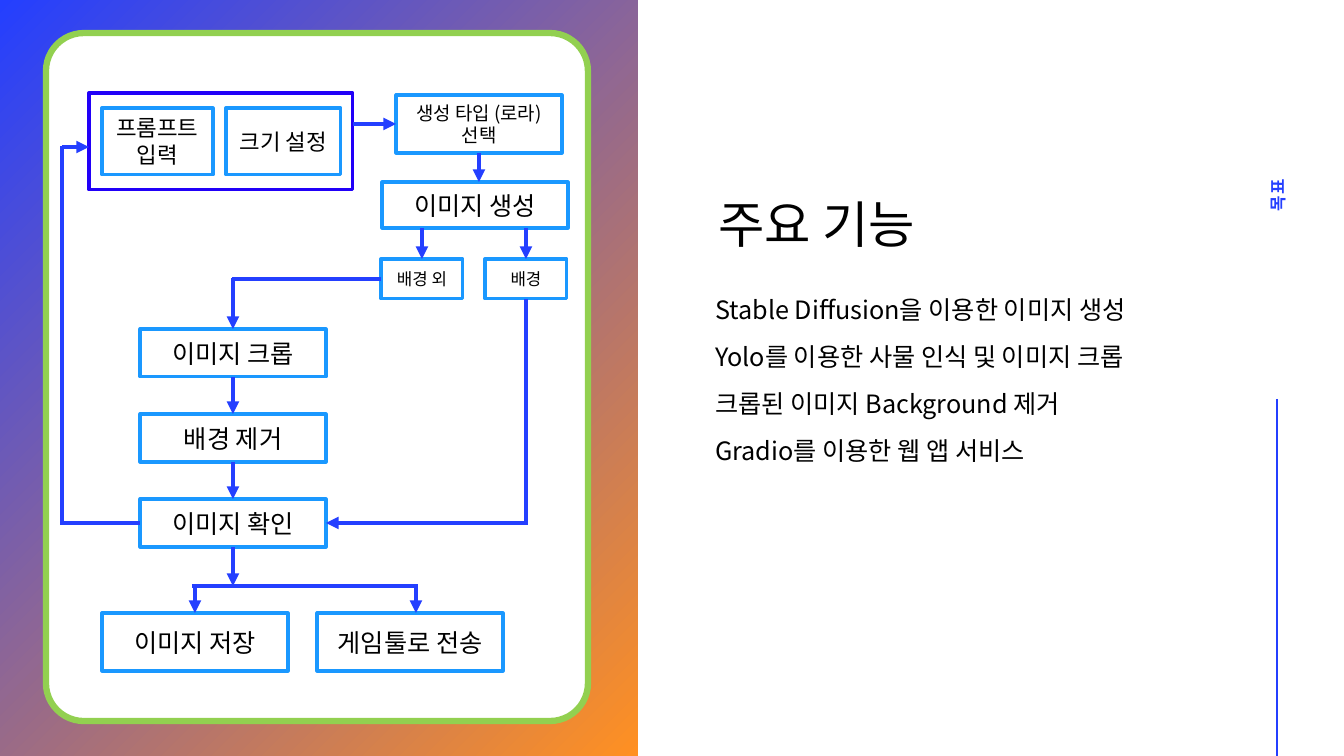
from dataclasses import dataclass

from lxml.etree import SubElement
from pptx import Presentation
from pptx.dml.color import RGBColor
from pptx.enum.shapes import MSO_CONNECTOR, MSO_SHAPE
from pptx.enum.text import MSO_ANCHOR, MSO_AUTO_SIZE, PP_ALIGN
from pptx.oxml.ns import qn
from pptx.util import Pt

EMU_PER_PX = 914400 / 100.8
SLIDE_W, SLIDE_H = 1344, 756
TOP, LEFT, BOTTOM, RIGHT = range(4)


@dataclass(frozen=True)
class Theme:
    font: str = "Noto Sans CJK KR"
    black: str = "000000"
    white: str = "FFFFFF"
    blue: str = "243FFF"
    orange: str = "FF9022"
    green: str = "92D050"
    box_line: str = "1A98FF"
    group_line: str = "2100F8"
    title: float = 36
    body: float = 18
    medium: float = 16
    note: float = 13.5
    small: float = 12


THEME = Theme()


def px(*lengths):
    """Turn pixel lengths into EMU."""
    return [round(n * EMU_PER_PX) for n in lengths]


def rgb(color):
    return RGBColor.from_string(color)


def write(sp, lines, size, color=THEME.black, align=PP_ALIGN.CENTER,
          anchor=MSO_ANCHOR.MIDDLE, bold=False, line_spacing=None, gap=0):
    """Fill a shape with one paragraph per line; gap separates them."""
    tf = sp.text_frame
    tf.word_wrap = True
    tf.auto_size = MSO_AUTO_SIZE.NONE
    tf.vertical_anchor = anchor
    for i, line in enumerate(lines):
        p = tf.paragraphs[0] if i == 0 else tf.add_paragraph()
        p.text = line
        p.alignment = align
        p.line_spacing = line_spacing
        p.space_before = Pt(gap if i else 0)
        p.font.name = THEME.font
        p.font.size = Pt(size)
        p.font.bold = bold
        p.font.color.rgb = rgb(color)
        props = p._p.pPr.find(qn("a:defRPr"))
        SubElement(props, qn("a:ea")).set("typeface", THEME.font)


def add_box(slide, at, line=THEME.box_line, width=2.25, kind=MSO_SHAPE.RECTANGLE):
    sp = slide.shapes.add_shape(kind, *px(*at))
    sp.shadow.inherit = False
    sp.fill.solid()
    sp.fill.fore_color.rgb = rgb(THEME.white)
    sp.line.color.rgb = rgb(line)
    sp.line.width = Pt(width)
    return sp


def add_step(slide, text, at, size=THEME.body):
    sp = add_box(slide, at)
    write(sp, [text], size)
    return sp


def add_line(slide, start, end, arrow=False, width=3):
    """Each end is a point (x, y) in px or a joint (shape, side)."""
    joined = [not isinstance(e[0], int) for e in (start, end)]
    points = [(0, 0) if j else e for j, e in zip(joined, (start, end))]
    cx = slide.shapes.add_connector(MSO_CONNECTOR.STRAIGHT, *px(*points[0], *points[1]))
    if joined[0]:
        cx.begin_connect(*start)
    if joined[1]:
        cx.end_connect(*end)
    cx.line.color.rgb = rgb(THEME.blue)
    cx.line.width = Pt(width)
    if arrow:
        SubElement(cx.line._get_or_add_ln(), qn("a:tailEnd")).set("type", "triangle")
    SubElement(cx._element.spPr, qn("a:effectLst"))


def add_backdrop(slide):
    sp = slide.shapes.add_shape(MSO_SHAPE.RECTANGLE, *px(0, 0, 638, SLIDE_H))
    sp.shadow.inherit = False
    sp.line.fill.background()
    sp.fill.gradient()
    sp.fill.gradient_angle = 315
    for stop, color in zip(sp.fill.gradient_stops, (THEME.blue, THEME.orange)):
        stop.color.rgb = rgb(color)
    panel = add_box(slide, (46, 33, 542, 688), THEME.green, 4.5,
                    MSO_SHAPE.ROUNDED_RECTANGLE)
    panel.adjustments[0] = 0.07


def add_flow(slide):
    add_box(slide, (89, 93, 264, 97), THEME.group_line)
    add_step(slide, "프롬프트 입력", (102, 108, 111, 67), THEME.medium)
    add_step(slide, "크기 설정", (226, 108, 115, 67), THEME.medium)
    style = add_step(slide, "생성 타입 (로라) 선택", (396, 95, 166, 58), THEME.note)
    create = add_step(slide, "이미지 생성", (382, 182, 186, 46))
    other, scenery = [add_step(slide, text, (381 + 104 * i, 259, 82, 40), THEME.small)
                      for i, text in enumerate(("배경 외", "배경"))]
    crop, cutout, check = [
        add_step(slide, text, (140, 329 + 85 * i, 186, 48))
        for i, text in enumerate(("이미지 크롭", "배경 제거", "이미지 확인"))]
    save, _ = [add_step(slide, text, (102 + 215 * i, 613, 186, 58))
               for i, text in enumerate(("이미지 저장", "게임툴로 전송"))]

    arrows = [
        ((353, 124), (style, LEFT)),
        ((style, BOTTOM), (479, 182)),
        ((422, 228), (other, TOP)),
        ((526, 228), (scenery, TOP)),
        ((233, 278), (crop, TOP)),
        ((crop, BOTTOM), (cutout, TOP)),
        ((cutout, BOTTOM), (check, TOP)),
        ((526, 523), (check, RIGHT)),
        ((check, BOTTOM), (233, 586)),
        ((195, 586), (save, TOP)),
        ((416, 586), (416, 613)),
        ((62, 147), (89, 147)),
    ]
    plain_lines = [
        ((other, LEFT), (232, 279)),
        ((scenery, BOTTOM), (526, 525)),
        ((192, 586), (418, 586)),
        ((check, LEFT), (62, 523)),
        ((62, 525), (62, 146)),
    ]
    for start, end in arrows:
        add_line(slide, start, end, arrow=True)
    for start, end in plain_lines:
        add_line(slide, start, end)


def fill_placeholder(sp, at, lines, size, anchor):
    sp.left, sp.top, sp.width, sp.height = px(*at)
    write(sp, lines, size, align=PP_ALIGN.LEFT, anchor=anchor,
          line_spacing=1.1, gap=10)


def add_side_label(slide):
    sp = slide.shapes.add_textbox(*px(1082, 175, 391, 40))
    sp.rotation = 270
    write(sp, ["목표"], THEME.small, THEME.blue, bold=True)
    sp.text_frame.paragraphs[0]._p.pPr.find(qn("a:defRPr")).set("spc", "100")


def main():
    prs = Presentation()
    prs.slide_width, prs.slide_height = px(SLIDE_W, SLIDE_H)
    slide = prs.slides.add_slide(prs.slide_layouts[0])
    add_backdrop(slide)
    add_flow(slide)
    fill_placeholder(slide.shapes.title, (708, 127, 489, 132), ["주요 기능"],
                     THEME.title, MSO_ANCHOR.BOTTOM)
    fill_placeholder(slide.placeholders[1], (705, 161, 489, 435), [
        "Stable Diffusion을 이용한 이미지 생성",
        "Yolo를 이용한 사물 인식 및 이미지 크롭",
        "크롭된 이미지 Background 제거",
        "Gradio를 이용한 웹 앱 서비스",
    ], THEME.body, MSO_ANCHOR.MIDDLE)
    add_side_label(slide)
    add_line(slide, (1277, 399), (1277, SLIDE_H), width=2)
    prs.save("out.pptx")


if __name__ == "__main__":
    main()
